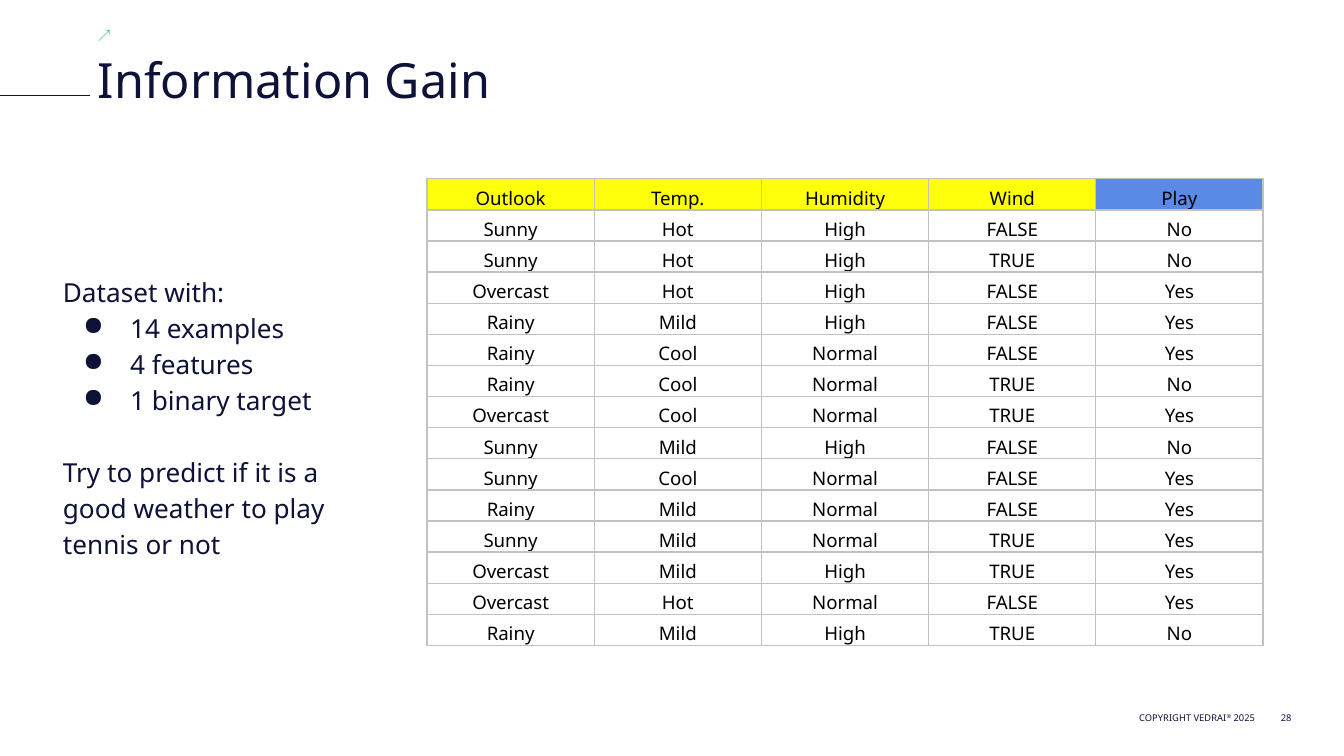
from lxml.etree import SubElement as Sub
from pptx import Presentation
from pptx.dml.color import RGBColor as RGB
from pptx.enum.shapes import MSO_CONNECTOR as Connector
from pptx.enum.text import MSO_ANCHOR as Anchor, PP_ALIGN as Align
from pptx.oxml.ns import qn
from pptx.util import Cm, Pt

COLORS = {"ink": "0E1138", "accent": "00A491", "black": "000000",
          "feature": "FFFF0B", "target": "5B89E6", "grid": "C1C1C1"}

HEADER = ["Outlook", "Temp.", "Humidity", "Wind", "Play"]
EXAMPLES = """
Sunny Hot High FALSE No
Sunny Hot High TRUE No
Overcast Hot High FALSE Yes
Rainy Mild High FALSE Yes
Rainy Cool Normal FALSE Yes
Rainy Cool Normal TRUE No
Overcast Cool Normal TRUE Yes
Sunny Mild High FALSE No
Sunny Cool Normal FALSE Yes
Rainy Mild Normal FALSE Yes
Sunny Mild Normal TRUE Yes
Overcast Mild High TRUE Yes
Overcast Hot Normal FALSE Yes
Rainy Mild High TRUE No
"""


class SlideBuilder:
    font = "Noto Sans"
    spacing = 1.15

    def __init__(self, slide):
        self.slide = slide

    def color(self, name):
        return RGB.from_string(COLORS[name])

    def format(self, paragraph, size, color="ink", align=Align.LEFT, spacing=None):
        paragraph.alignment = align
        if spacing:
            paragraph.line_spacing = spacing
        for run in paragraph.runs:
            run.font.name = self.font
            run.font.size = Pt(size)
            run.font.color.rgb = self.color(color)

    def frame(self, left, top, width, height, inset=0, anchor=Anchor.TOP):
        box = self.slide.shapes.add_textbox(Cm(left), Cm(top), Cm(width), Cm(height))
        frame = box.text_frame
        frame.word_wrap = True
        frame.vertical_anchor = anchor
        frame.margin_left = frame.margin_right = Cm(inset)
        frame.margin_top = frame.margin_bottom = Cm(inset)
        return frame

    def label(self, text, place, size, color="ink", align=Align.LEFT,
              anchor=Anchor.TOP, spacing=None):
        frame = self.frame(*place, anchor=anchor)
        frame.text = text
        self.format(frame.paragraphs[0], size, color, align, spacing)

    def copyright(self, parts, place, size):
        paragraph = self.frame(*place, anchor=Anchor.BOTTOM).paragraphs[0]
        for text, baseline in parts:
            run = paragraph.add_run()
            run.text = text
            if baseline:
                run.font._element.set("baseline", str(baseline * 1000))
        self.format(paragraph, size, align=Align.RIGHT, spacing=self.spacing)

    def line(self, x1, y1, x2, y2):
        rule = self.slide.shapes.add_connector(
            Connector.STRAIGHT, Cm(x1), Cm(y1), Cm(x2), Cm(y2))
        rule.line.color.rgb = self.color("ink")
        rule.line.width = Pt(0.75)
        Sub(rule._element.spPr, qn("a:effectLst"))

    def bullet(self, paragraph):
        props = paragraph._p.get_or_add_pPr()
        props.set("marL", str(Cm(1.27)))
        props.set("indent", str(Cm(-0.89)))
        fill = Sub(props, qn("a:buClr"))
        Sub(fill, qn("a:srgbClr"), val=COLORS["ink"])
        Sub(props, qn("a:buChar"), char="●")

    def summary(self, intro, points, task, place, size, gap):
        frame = self.frame(*place, inset=0.25)
        frame.text = "\n".join([intro, *points, task])
        for paragraph in frame.paragraphs:
            if paragraph.text in points:
                self.bullet(paragraph)
            self.format(paragraph, size, spacing=self.spacing)
        frame.paragraphs[-1].space_before = Pt(gap)

    def borders(self, cell):
        props = cell._tc.get_or_add_tcPr()
        for index, side in enumerate(("lnL", "lnR", "lnT", "lnB")):
            edge = Sub(props, qn(f"a:{side}"), w=str(Pt(0.83)))
            Sub(Sub(edge, qn("a:solidFill")), qn("a:srgbClr"), val=COLORS["grid"])
            props.insert(index, edge)

    def table(self, rows, left, top, column_width, row_height, size):
        columns = len(rows[0])
        table = self.slide.shapes.add_table(
            len(rows), columns, Cm(left), Cm(top),
            Cm(column_width * columns), Cm(row_height * len(rows))).table
        table.first_row = table.horz_banding = False
        for column in table.columns:
            column.width = Cm(column_width)
        for r, row in enumerate(rows):
            for c, value in enumerate(row):
                cell = table.cell(r, c)
                cell.margin_left = cell.margin_right = Cm(0.05)
                cell.margin_top = cell.margin_bottom = Cm(0.05)
                cell.text_frame.text = value
                self.format(cell.text_frame.paragraphs[0], size, "black",
                            Align.CENTER, self.spacing)
                if r == 0:
                    cell.fill.solid()
                    cell.fill.fore_color.rgb = self.color(
                        "target" if c == columns - 1 else "feature")
                else:
                    cell.fill.background()
                self.borders(cell)


def main():
    deck = Presentation()
    deck.slide_width, deck.slide_height = Cm(25.4), Cm(14.29)
    page = SlideBuilder(deck.slides.add_slide(deck.slide_layouts[6]))

    # Heading with its arrow and rule
    page.label("↗", (1.85, 0.51, 0.46, 0.58), 7, "accent")
    page.line(1.7, 1.81, -0.43, 1.81)
    page.label("Information Gain", (1.85, 0.94, 21.44, 0.94), 26)

    # Footer
    page.copyright([("COPYRIGHT VEDRAI", 0), ("®", 30), (" 2025", 0)],
                   (20.32, 13.26, 3.4, 0.41), 5)
    page.label("28", (23.77, 13.26, 0.64, 0.41), 5,
               align=Align.RIGHT, anchor=Anchor.BOTTOM)

    # Weather data set
    examples = [line.split() for line in EXAMPLES.strip().splitlines()]
    page.table([HEADER, *examples], 8.07, 3.38, 3.16, 0.58, 10)

    # Description of the data set
    page.summary("Dataset with:",
                 ["14 examples", "4 features", "1 binary target"],
                 "Try to predict if it is a good weather to play tennis or not",
                 (0.94, 4.88, 6.17, 6.25), 14, 19.3)

    deck.save("out.pptx")


if __name__ == "__main__":
    main()
